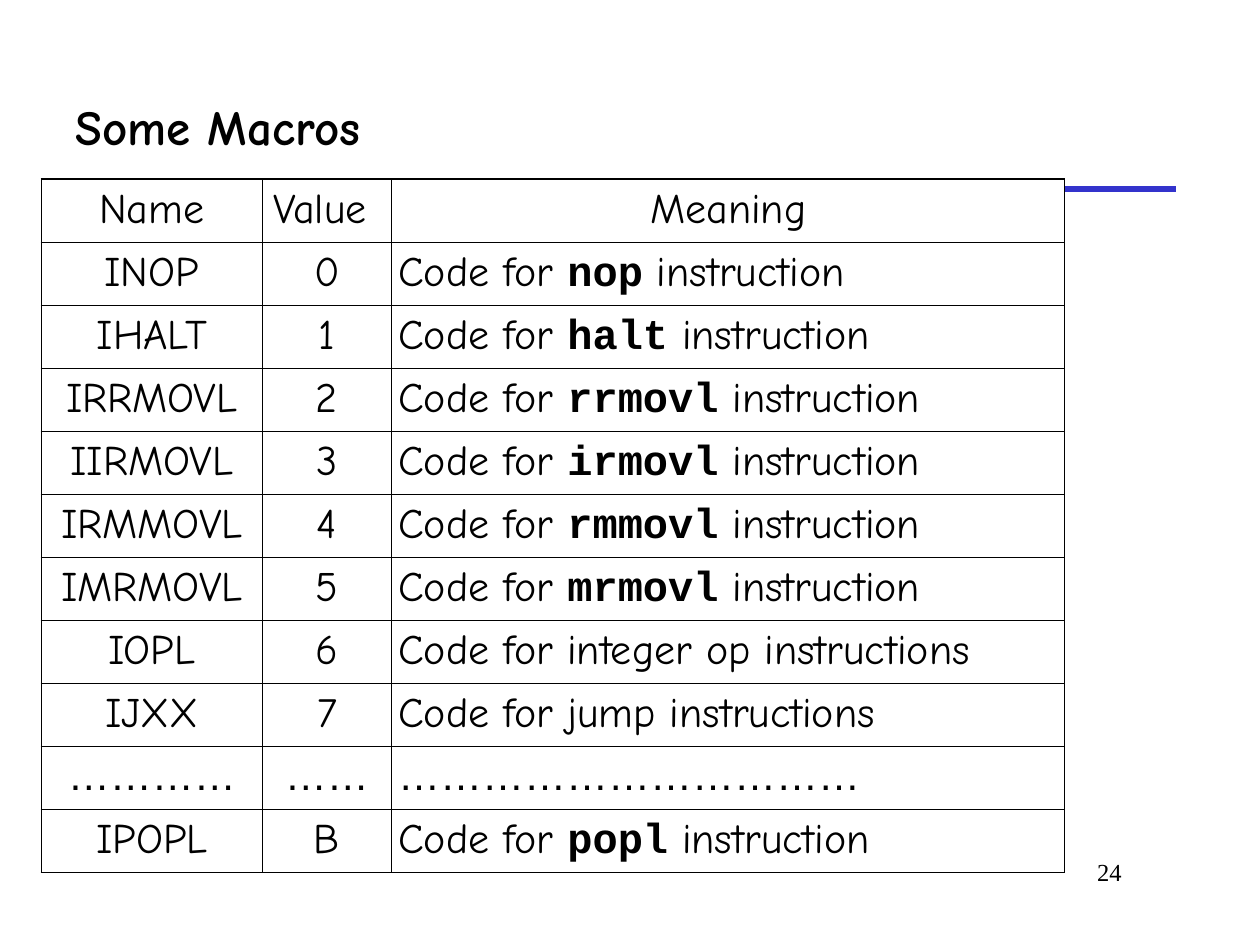
from lxml.etree import SubElement
from pptx import Presentation
from pptx.dml.color import RGBColor
from pptx.enum.shapes import MSO_CONNECTOR
from pptx.enum.text import MSO_ANCHOR, PP_ALIGN
from pptx.oxml.ns import qn
from pptx.util import Inches, Pt

BLACK = RGBColor(0x00, 0x00, 0x00)
WHITE = RGBColor(0xFF, 0xFF, 0xFF)
BLUE = RGBColor(0x33, 0x33, 0xCC)

BODY_FONT = "Comic Neue"
CODE_FONT = "Courier New"
DOTS_FONT = "Arial"
NUMBER_FONT = "Times New Roman"

THIN, THICK = Pt(0.45), Pt(1.08)
COLUMN_WIDTHS = (1.75, 1.03, 5.34)
ROW_HEIGHT = 0.5

HEADER = ("Name", "Value ", "Meaning")
# Name, value, and meaning as plain text or as the instruction it encodes
MACROS = [
    ("INOP", "0", {"code": "nop"}),
    ("IHALT", "1", {"code": "halt"}),
    ("IRRMOVL", "2", {"code": "rrmovl"}),
    ("IIRMOVL", "3", {"code": "irmovl"}),
    ("IRMMOVL", "4", {"code": "rmmovl"}),
    ("IMRMOVL", "5", {"code": "mrmovl"}),
    ("IOPL", "6", "Code for integer op instructions"),
    ("IJXX", "7", "Code for jump instructions"),
    ("…………", "……", "……………………………"),
    ("IPOPL", "B", {"code": "popl"}),
]


def add_span(para, text, size, font=BODY_FONT, bold=False):
    span = para.add_run()
    span.text = text
    span.font.size = Pt(size)
    span.font.name = font
    span.font.bold = bold
    span.font.color.rgb = BLACK


def add_text(page, left, top, width, height, text, size, font, bold=False,
             align=PP_ALIGN.LEFT, anchor=MSO_ANCHOR.TOP):
    box = page.shapes.add_textbox(Inches(left), Inches(top),
                                  Inches(width), Inches(height))
    box.text_frame.word_wrap = True
    box.text_frame.vertical_anchor = anchor
    para = box.text_frame.paragraphs[0]
    para.alignment = align
    add_span(para, text, size, font, bold)


def add_rule(page, left, right, y):
    rule = page.shapes.add_connector(MSO_CONNECTOR.STRAIGHT, Inches(left),
                                     Inches(y), Inches(right), Inches(y))
    rule.line.color.rgb = BLUE
    rule.line.width = Pt(3)
    SubElement(rule.element.spPr, qn("a:effectLst"))


def set_borders(cell, widths):
    properties = cell._tc.get_or_add_tcPr()
    for position, (side, width) in enumerate(widths.items()):
        border = properties.makeelement(qn(f"a:{side}"), {"w": str(int(width))})
        fill = SubElement(border, qn("a:solidFill"))
        SubElement(fill, qn("a:srgbClr"), val=str(BLACK))
        properties.insert(position, border)


def fill_cell(cell, content, align):
    cell.margin_left = cell.margin_right = Inches(0.05)
    cell.margin_top = cell.margin_bottom = Inches(0.05)
    cell.fill.solid()
    cell.fill.fore_color.rgb = WHITE
    para = cell.text_frame.paragraphs[0]
    para.alignment = align
    if isinstance(content, dict):
        add_span(para, "Code for ", 24)
        add_span(para, content["code"], 24, CODE_FONT, True)
        add_span(para, " instruction", 24)
    else:
        font = DOTS_FONT if content.startswith("…") else BODY_FONT
        add_span(para, content, 24, font)


def add_macro_table(page, left, top):
    rows = [HEADER, *MACROS]
    last_row, last_column = len(rows) - 1, len(COLUMN_WIDTHS) - 1
    table = page.shapes.add_table(
        len(rows), len(COLUMN_WIDTHS), Inches(left), Inches(top),
        Inches(sum(COLUMN_WIDTHS)), Inches(ROW_HEIGHT * len(rows))).table
    table.first_row = table.horz_banding = False
    for column, width in zip(table.columns, COLUMN_WIDTHS):
        column.width = Inches(width)

    for r, contents in enumerate(rows):
        table.rows[r].height = Inches(ROW_HEIGHT)
        for c, content in enumerate(contents):
            # Only the meanings below the header are left-aligned
            is_meaning = r > 0 and c == last_column
            cell = table.cell(r, c)
            fill_cell(cell, content,
                      PP_ALIGN.LEFT if is_meaning else PP_ALIGN.CENTER)
            # The outer frame is thicker than the inner grid
            set_borders(cell, {
                "lnL": THICK if c == 0 else THIN,
                "lnR": THICK if c == last_column else THIN,
                "lnT": THICK if r == 0 else THIN,
                "lnB": THICK if r == last_row else THIN,
            })


def main():
    deck = Presentation()
    deck.slide_width, deck.slide_height = Inches(10), Inches(7.5)
    page = deck.slides.add_slide(deck.slide_layouts[6])

    # Rule under the title, slide number and title
    add_rule(page, 0.5, 9.33, 1.5)
    add_text(page, 7.58, 6.75, 1.42, 0.5, "24", 14, NUMBER_FONT,
             align=PP_ALIGN.RIGHT)
    add_text(page, 0.5, 0.5, 8.83, 1, "Some Macros", 28, BODY_FONT, bold=True,
             anchor=MSO_ANCHOR.MIDDLE)

    # Table of instruction codes
    add_macro_table(page, 0.33, 1.42)

    deck.save("out.pptx")


if __name__ == "__main__":
    main()
